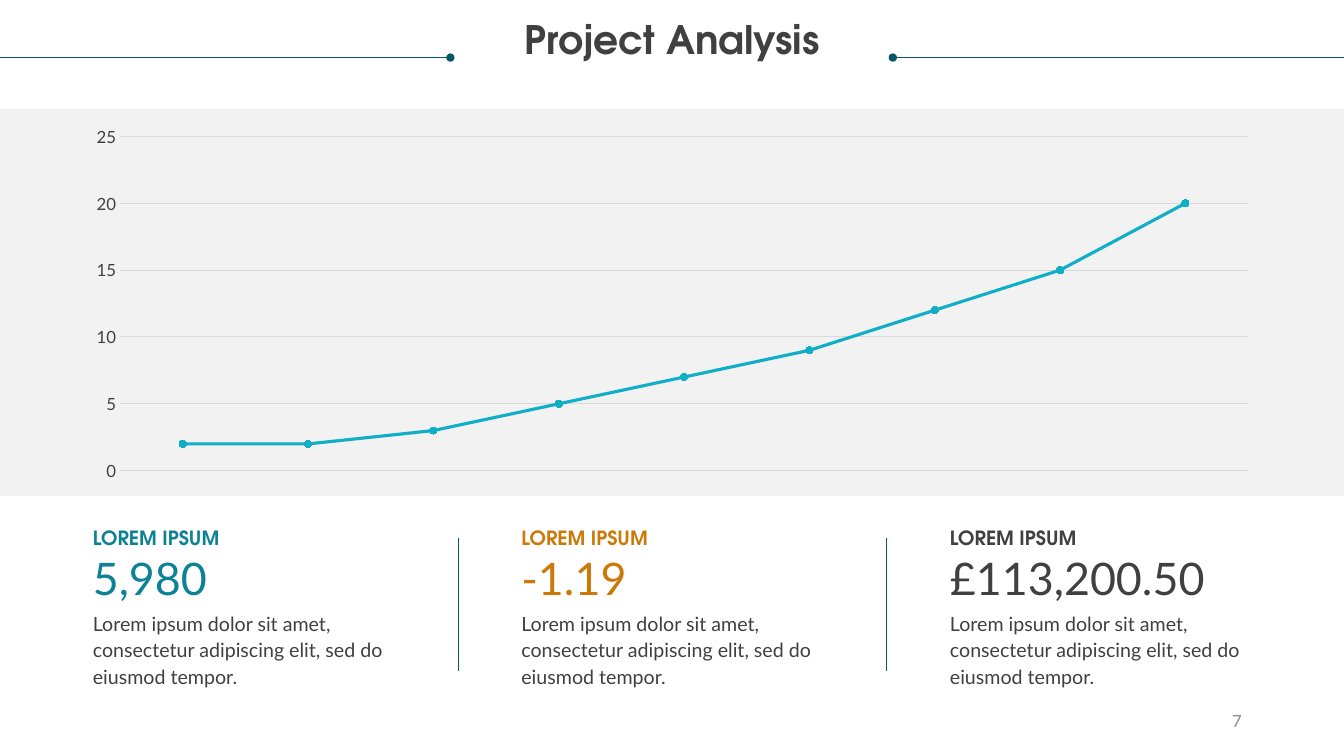
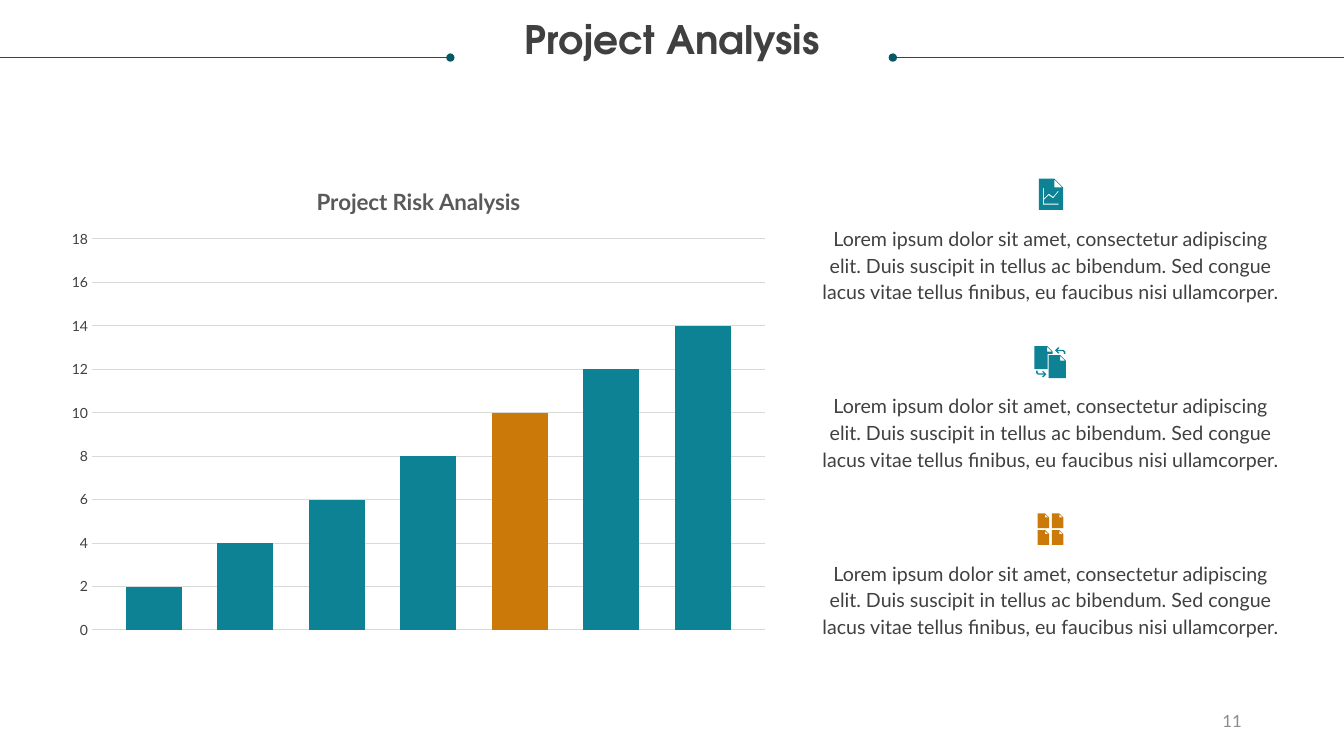
import dataclasses

import lxml.etree
import pptx
import pptx.chart.data
import pptx.dml.color
import pptx.enum.chart
import pptx.enum.shapes
import pptx.enum.text
import pptx.oxml.ns
import pptx.util

Cm = pptx.util.Cm
Pt = pptx.util.Pt
Align = pptx.enum.text.PP_ALIGN
Anchor = pptx.enum.text.MSO_ANCHOR


@dataclasses.dataclass(frozen=True)
class Theme:
    heading_font: str = "TeX Gyre Adventor"
    body_font: str = "Lato"
    ink: str = "404040"
    chart_title: str = "595959"
    muted: str = "8C8C8C"
    rule: str = "085764"
    teal: str = "0D8295"
    cyan: str = "11AEC7"
    orange: str = "CB7A09"
    band: str = "F2F2F2"
    grid: str = "D9D9D9"
    title_size: int = 28
    figure_size: int = 32
    chart_title_size: int = 16
    body_size: int = 14
    small_size: int = 12
    tick_size: int = 10
    leading: int = 19


def rgb(color):
    return pptx.dml.color.RGBColor.from_string(color)


def style_font(font, name, size, color, bold=False):
    font.name = name
    font.size = Pt(size)
    font.bold = bold
    font.color.rgb = rgb(color)


def write(frame, text, *, font, size, color, bold=False, align=Align.LEFT,
          spacing=None, anchor=Anchor.TOP, inset=0):
    frame.word_wrap = True
    frame.auto_size = pptx.enum.text.MSO_AUTO_SIZE.NONE
    frame.vertical_anchor = anchor
    frame.margin_left = frame.margin_right = Cm(inset)
    frame.margin_top = frame.margin_bottom = Cm(inset / 2)
    paragraph = frame.paragraphs[0]
    paragraph.alignment = align
    if spacing is not None:
        paragraph.line_spacing = spacing
    run = paragraph.add_run()
    run.text = text
    style_font(run.font, font, size, color, bold)


def page_contours(left, top, width, height, fold, notch=None):
    right, bottom, crease = left + width, top + height, left + width - fold
    if notch:
        notch_x, notch_y = notch
        corner = [(right, notch_y), (notch_x, notch_y), (notch_x, bottom)]
    else:
        corner = [(right, bottom)]
    sheet = [(left, top), (crease, top), (right, top + fold), *corner, (left, bottom)]
    flap = [(crease, top + 0.02), (crease, top + fold), (right - 0.02, top + fold)]
    return [sheet, flap]


class Deck:
    def __init__(self, theme):
        self.theme = theme
        self.presentation = pptx.Presentation()
        self.presentation.slide_width = Cm(33.87)
        self.presentation.slide_height = Cm(19.05)
        self.slide = None

    def start(self, title, number):
        theme = self.theme
        self.slide = self.presentation.slides.add_slide(
            self.presentation.slide_layouts.get_by_name("Title Only"))
        heading = self.slide.shapes.title
        heading.left, heading.top = Cm(0.64), Cm(0.53)
        heading.width, heading.height = Cm(32.59), Cm(1.85)
        write(heading.text_frame, title, font=theme.heading_font, size=theme.title_size,
              color=theme.ink, bold=True, align=Align.CENTER, spacing=0.9)
        self.rule(11.35, 1.45, 0, 1.45, dot=True)
        self.rule(22.5, 1.45, 33.87, 1.45, dot=True)
        self.text(23.93, 17.65, 7.62, 1.02, str(number), size=theme.small_size,
                  color=theme.muted, align=Align.RIGHT, anchor=Anchor.MIDDLE, inset=0.25)

    def text(self, left, top, width, height, words, **text_format):
        box = self.slide.shapes.add_textbox(Cm(left), Cm(top), Cm(width), Cm(height))
        defaults = dict(font=self.theme.body_font, size=self.theme.body_size,
                        color=self.theme.ink)
        write(box.text_frame, words, **(defaults | text_format))

    def rule(self, x1, y1, x2, y2, dot=False):
        connector = self.slide.shapes.add_connector(
            pptx.enum.shapes.MSO_CONNECTOR.STRAIGHT, Cm(x1), Cm(y1), Cm(x2), Cm(y2))
        connector.line.color.rgb = rgb(self.theme.rule)
        connector.line.width = Pt(0.5)
        properties = connector._element.spPr
        qn = pptx.oxml.ns.qn
        if dot:
            lxml.etree.SubElement(properties.find(qn("a:ln")), qn("a:headEnd"), type="oval")
        lxml.etree.SubElement(properties, qn("a:effectLst"))

    def paint(self, shape, color):
        shape.shadow.inherit = False
        shape.fill.solid()
        shape.fill.fore_color.rgb = rgb(color)
        shape.line.fill.background()

    def band(self, top, height):
        band = self.slide.shapes.add_shape(
            pptx.enum.shapes.MSO_SHAPE.RECTANGLE, 0, Cm(top),
            self.presentation.slide_width, Cm(height))
        self.paint(band, self.theme.band)

    def outline(self, center, top, contours, color):
        placed = [[(Cm(center + x), Cm(top + y)) for x, y in contour]
                  for contour in contours]
        builder = self.slide.shapes.build_freeform(*placed[0][0])
        for index, contour in enumerate(placed):
            if index:
                builder.move_to(*contour[0])
            builder.add_line_segments(contour[1:], close=True)
        self.paint(builder.convert_to_shape(), color)

    def chart(self, kind, left, top, width, height, categories, series,
              maximum, step, tick_size):
        data = pptx.chart.data.CategoryChartData()
        data.categories = categories
        for name, values in series:
            data.add_series(name, values)
        chart = self.slide.shapes.add_chart(
            kind, Cm(left), Cm(top), Cm(width), Cm(height), data).chart
        style_font(chart.font, self.theme.body_font, tick_size, self.theme.ink)
        chart.has_legend = False
        chart.has_title = False
        chart.plots[0].vary_by_categories = False
        chart.category_axis.visible = False
        axis = chart.value_axis
        axis.minimum_scale, axis.maximum_scale, axis.major_unit = 0, maximum, step
        axis.major_tick_mark = pptx.enum.chart.XL_TICK_MARK.NONE
        axis.format.line.fill.background()
        axis.has_major_gridlines = True
        axis.major_gridlines.format.line.color.rgb = rgb(self.theme.grid)
        axis.major_gridlines.format.line.width = Pt(0.75)
        return chart

    def line_chart(self, *place, values, **scale):
        chart = self.chart(
            pptx.enum.chart.XL_CHART_TYPE.LINE_MARKERS, *place,
            [str(n) for n in range(1, len(values) + 1)], [("Series 1", values)],
            tick_size=self.theme.small_size, **scale)
        trend = chart.plots[0].series[0]
        trend.smooth = False
        trend.format.line.color.rgb = rgb(self.theme.cyan)
        trend.format.line.width = Pt(2.25)
        trend.marker.style = pptx.enum.chart.XL_MARKER_STYLE.CIRCLE
        trend.marker.size = 5
        trend.marker.format.fill.solid()
        trend.marker.format.fill.fore_color.rgb = rgb(self.theme.cyan)
        trend.marker.format.line.color.rgb = rgb(self.theme.cyan)

    def column_chart(self, *place, title, values, highlight, **scale):
        theme = self.theme
        chart = self.chart(
            pptx.enum.chart.XL_CHART_TYPE.COLUMN_CLUSTERED, *place, ["1"],
            [(f"Series {n}", [value]) for n, value in enumerate(values, 1)],
            tick_size=theme.tick_size, **scale)
        chart.has_title = True
        run = chart.chart_title.text_frame.paragraphs[0].add_run()
        run.text = title
        style_font(run.font, theme.body_font, theme.chart_title_size,
                   theme.chart_title, bold=True)
        chart.chart_title.include_in_layout = False
        plot = chart.plots[0]
        plot.gap_width, plot.overlap = 121, -63
        for column, value in zip(plot.series, values):
            column.format.fill.solid()
            column.format.fill.fore_color.rgb = rgb(
                theme.orange if value == highlight else theme.teal)

    def key_figure(self, left, label, figure, detail, color):
        theme = self.theme
        leading = Pt(theme.leading)
        self.text(left, 13.18, 7.62, 0.61, label, font=theme.heading_font,
                  color=color, bold=True, spacing=leading)
        self.text(left, 13.89, 7.62, 1.37, figure, size=theme.figure_size, color=color)
        self.text(left, 15.34, 7.62, 1.98, detail, spacing=leading)


theme = Theme()
deck = Deck(theme)

deck.start("Project Analysis", 7)
deck.band(2.74, 9.75)
deck.line_chart(1.83, 3, 30.23, 9.3, values=[2, 2, 3, 5, 7, 9, 12, 15, 20],
                maximum=25, step=5)
key_figures = [("5,980", theme.teal), ("-1.19", theme.orange), ("£113,200.50", theme.ink)]
for column, (figure, color) in enumerate(key_figures):
    left = 2.34 + column * 10.8
    deck.key_figure(
        left, "LOREM IPSUM", figure,
        "Lorem ipsum dolor sit amet, consectetur adipiscing elit, sed do eiusmod tempor.",
        color)
    if column:
        deck.rule(left - 1.6, 13.56, left - 1.6, 16.92)

deck.start("Project Analysis", 11)
deck.column_chart(1.45, 4.19, 18.19, 12.14, title="Project Risk Analysis",
                  values=[2, 4, 6, 8, 10, 12, 14], highlight=10, maximum=18, step=2)

report_axes = [(-0.2, 0.24), (-0.2, 0.66), (0.2, 0.66), (0.2, 0.63),
               (-0.17, 0.63), (-0.17, 0.24)]
trend_points = [(-0.17, 0.54), (-0.05, 0.42), (0.06, 0.5), (0.19, 0.34)]
report_trend = trend_points + [(x, y - 0.04) for x, y in reversed(trend_points)]
report = [page_contours(-0.3, 0, 0.61, 0.79, 0.22) + [report_axes, report_trend]]

arrow = [(0.11, 0.11), (0.19, 0.03), (0.22, 0.05), (0.16, 0.1), (0.32, 0.1),
         (0.37, 0.14), (0.37, 0.2), (0.33, 0.2), (0.33, 0.16), (0.31, 0.13),
         (0.16, 0.13), (0.22, 0.17), (0.19, 0.19)]
exchange = [page_contours(-0.41, 0, 0.46, 0.58, 0.14, notch=(-0.08, 0.2)),
            page_contours(-0.05, 0.23, 0.43, 0.58, 0.14),
            [arrow], [[(-x, 0.82 - y) for x, y in arrow]]]

archive = [page_contours(x, y, 0.29, 0.37, 0.1) for x in (-0.33, 0.03) for y in (0, 0.42)]

risks = [(report, theme.teal), (exchange, theme.teal), (archive, theme.orange)]
for row, (icon, color) in enumerate(risks):
    top = 4.5 + row * 4.22
    for contours in icon:
        deck.outline(26.48, top, contours, color)
    deck.text(20.55, top + 1.14, 11.86, 1.98,
              "Lorem ipsum dolor sit amet, consectetur adipiscing elit. Duis suscipit in "
              "tellus ac bibendum. Sed congue lacus vitae tellus finibus, eu faucibus nisi "
              "ullamcorper.", align=Align.CENTER, spacing=Pt(theme.leading))

deck.presentation.save("out.pptx")
